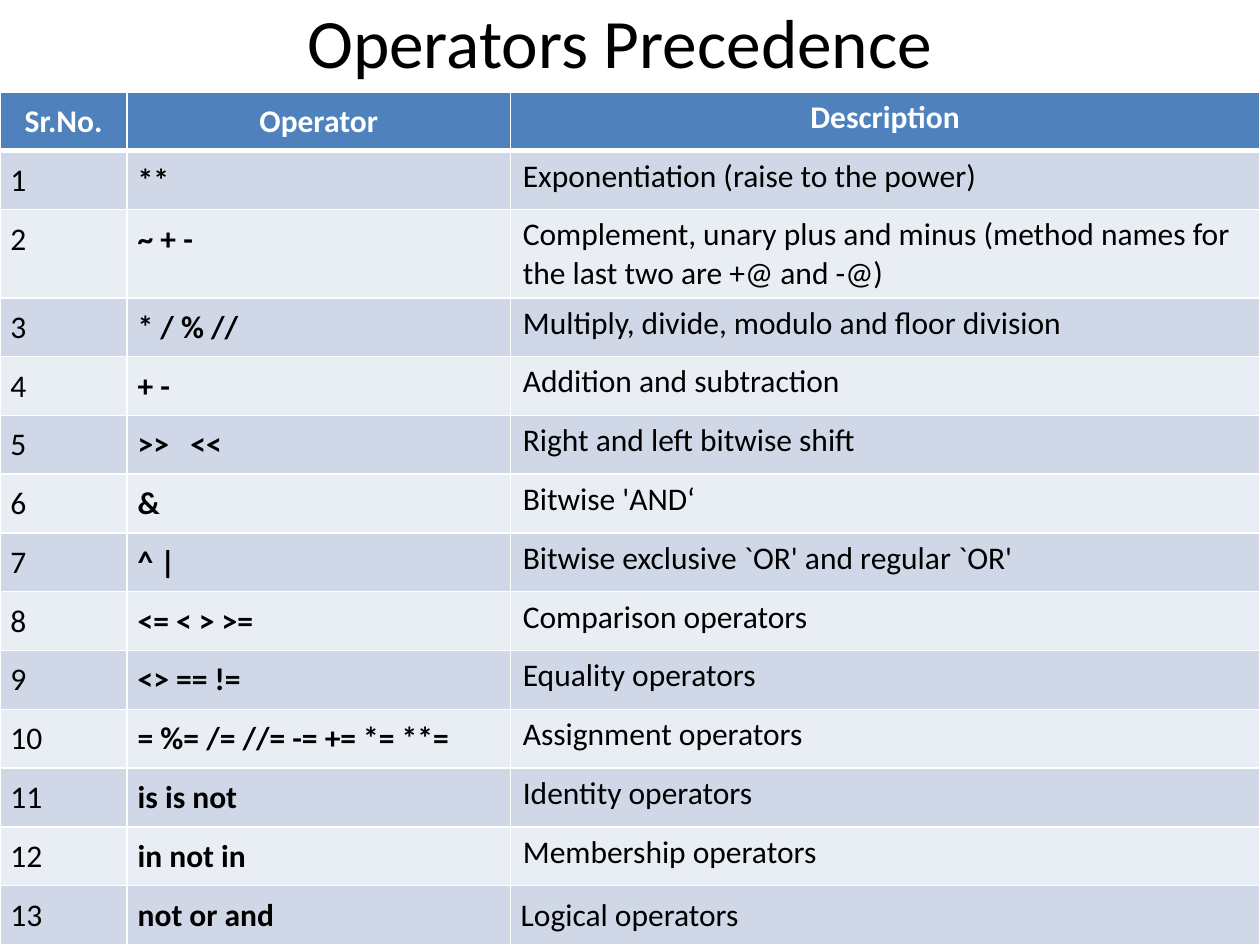
import pptx
import pptx.dml.color
import pptx.enum.text
import pptx.oxml.ns
import pptx.util
from lxml import etree

Inches, Pt = pptx.util.Inches, pptx.util.Pt
ALIGN = pptx.enum.text.PP_ALIGN
ANCHOR = pptx.enum.text.MSO_ANCHOR

# Content
TITLE = "Operators Precedence"
HEADER = ("Sr.No.", "Operator", "Description")
OPERATORS = [
    ("**", "Exponentiation (raise to the power)"),
    ("~ + -", "Complement, unary plus and minus (method names for "
              "the last two are +@ and -@)"),
    ("* / % //", "Multiply, divide, modulo and floor division"),
    ("+ -", "Addition and subtraction"),
    (">>   <<", "Right and left bitwise shift"),
    ("&", "Bitwise 'AND‘"),
    ("^ |", "Bitwise exclusive `OR' and regular `OR'"),
    ("<= < > >=", "Comparison operators"),
    ("<> == !=", "Equality operators"),
    ("= %= /= //= -= += *= **=", "Assignment operators"),
    ("is is not", "Identity operators"),
    ("in not in", "Membership operators"),
    ("not or and", "Logical operators"),
]
ROWS = [HEADER] + [(str(number), *entry) for number, entry in enumerate(OPERATORS, 1)]

# Layout and colours
COLUMN_WIDTHS = (1.01, 3.04, 5.95)
ROW_HEIGHT, TALL_ROW_HEIGHT, TALL_ROW = 0.44, 0.66, 2
HEADER_FILL, ODD_FILL, EVEN_FILL = "4F81BD", "D0D8E8", "E9EDF4"
WHITE, BLACK = "FFFFFF", "000000"


def color(value):
    return pptx.dml.color.RGBColor.from_string(value)


def write(frame, text, size=18, ink=BLACK, bold=False, align=ALIGN.LEFT):
    frame.word_wrap = True
    para = frame.paragraphs[0]
    para.alignment = align
    span = para.add_run()
    span.text = text
    span.font.name = "Calibri"
    span.font.size = Pt(size)
    span.font.bold = bold
    span.font.color.rgb = color(ink)


def add_borders(cell, **widths):
    properties = cell._tc.get_or_add_tcPr()
    for side in "LRTB":
        line = etree.SubElement(properties, pptx.oxml.ns.qn(f"a:ln{side}"),
                                w=str(Pt(widths.get(side, 1))))
        fill = etree.SubElement(line, pptx.oxml.ns.qn("a:solidFill"))
        etree.SubElement(fill, pptx.oxml.ns.qn("a:srgbClr"), val=WHITE)


def format_cell(cell, text, row, column):
    is_header = row == 0
    is_last = row == len(ROWS) - 1
    # Descriptions keep the default margins, except in the last row
    if column < 2 or is_last:
        cell.margin_left = cell.margin_right = Pt(6)
        cell.margin_top = cell.margin_bottom = Pt(6)
    add_borders(cell, B=3 if is_header else 1, T=3 if row == 1 else 1)
    cell.fill.solid()
    cell.fill.fore_color.rgb = color(
        HEADER_FILL if is_header else ODD_FILL if row % 2 else EVEN_FILL)
    write(cell.text_frame, text, ink=WHITE if is_header else BLACK,
          bold=is_header or column == 1,
          align=ALIGN.CENTER if is_header else ALIGN.LEFT)


def main():
    deck = pptx.Presentation()
    deck.slide_width, deck.slide_height = Inches(10), Inches(7.5)
    page = deck.slides.add_slide(deck.slide_layouts[6])

    # Title
    box = page.shapes.add_textbox(Inches(0.23), 0, Inches(9.38), Inches(0.64))
    box.text_frame.vertical_anchor = ANCHOR.MIDDLE
    write(box.text_frame, TITLE, size=39.6, align=ALIGN.CENTER)

    # Precedence table
    table = page.shapes.add_table(len(ROWS), len(HEADER), 0, Inches(0.73),
                                  Inches(10), Inches(6.77)).table
    for column, width in zip(table.columns, COLUMN_WIDTHS):
        column.width = Inches(width)
    for row, texts in enumerate(ROWS):
        table.rows[row].height = Inches(
            TALL_ROW_HEIGHT if row == TALL_ROW else ROW_HEIGHT)
        for column, text in enumerate(texts):
            format_cell(table.cell(row, column), text, row, column)

    deck.save("out.pptx")


if __name__ == "__main__":
    main()
